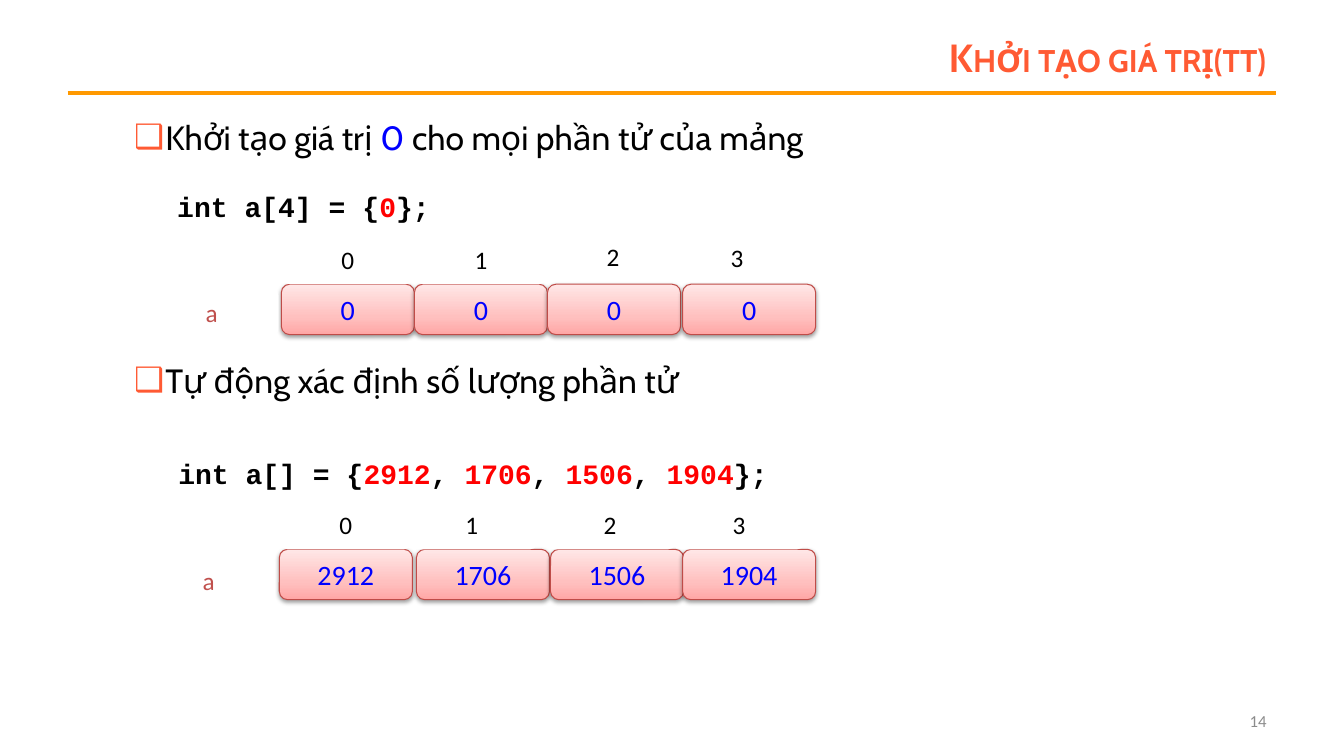
from pptx import Presentation
from pptx.dml.color import RGBColor
from pptx.enum.shapes import MSO_CONNECTOR, MSO_SHAPE
from pptx.enum.text import MSO_ANCHOR, MSO_AUTO_SIZE, PP_ALIGN
from pptx.oxml import parse_xml
from pptx.oxml.ns import nsdecls, qn
from pptx.util import Inches, Pt

HUES = {
    "black": "000000", "white": "FFFFFF", "blue": "0000FF", "red": "FF0000",
    "title": "FF5A33", "rule": "FF9900", "name": "C0504D", "edge": "BF4C48",
    "page": "8C8C8C", "low": "FFA6A5", "mid": "FFC0BF", "high": "FFE7E7",
}
TITLE = {"name": "Cabin", "size": Pt(28), "bold": True}
POINT = {"name": "Cabin", "size": Pt(24)}
CODE = {"name": "Courier New", "size": Pt(20), "bold": True}
VALUE = {"name": "Calibri", "size": Pt(20)}
LABEL = {"name": "Calibri", "size": Pt(18)}
PAGE = {"name": "Calibri", "size": Pt(12)}
CELL_W, CELL_H = 1.32, 0.5


def color(key):
    return RGBColor.from_string(HUES[key])


def place(shape, left, top, width, height):
    box = {"left": left, "top": top, "width": width, "height": height}
    for side, value in box.items():
        setattr(shape, side, Inches(value))


def add_runs(par, parts, style, main="black", accent="red"):
    """Write the parts as runs, with every second one in the accent colour."""
    for i, part in enumerate(parts):
        run = par.add_run()
        run.text = part
        for key, value in style.items():
            setattr(run.font, key, value)
        run.font.color.rgb = color(accent if i % 2 else main)


def add_title(slide, text):
    title = slide.shapes.title
    place(title, 3, 0.3, 9.66, 0.53)
    frame = title.text_frame
    frame.auto_size = MSO_AUTO_SIZE.NONE
    frame.vertical_anchor = MSO_ANCHOR.MIDDLE
    par = frame.paragraphs[0]
    par.alignment = PP_ALIGN.RIGHT
    add_runs(par, [text], TITLE, "title")
    par.runs[0]._r.get_or_add_rPr().set("cap", "small")


def add_rule(slide):
    rule = slide.shapes.add_connector(
        MSO_CONNECTOR.STRAIGHT, Inches(0.67), Inches(0.92),
        Inches(12.66), Inches(0.92))
    rule.line.color.rgb = color("rule")
    rule.line.width = Pt(3)
    rule._element.spPr.append(parse_xml(f"<a:effectLst {nsdecls('a')}/>"))


def add_points(slide, points):
    """Fill the body with (space before, parts) bullet points."""
    body = slide.placeholders[1]
    place(body, 0.73, 1.11, 11.91, 5.81)
    frame = body.text_frame
    frame.auto_size = MSO_AUTO_SIZE.NONE
    for i, (gap, parts) in enumerate(points):
        par = frame.add_paragraph() if i else frame.paragraphs[0]
        par.level = 1
        props = par._p.get_or_add_pPr()
        props.set("marL", str(Inches(0.81)))
        props.set("indent", str(Inches(-0.31)))
        props.append(parse_xml(
            f'<a:buClr {nsdecls("a")}><a:srgbClr val="{HUES["title"]}"/></a:buClr>'))
        props.append(parse_xml(f'<a:buChar {nsdecls("a")} char="❑"/>'))
        par.space_before = Pt(gap)
        add_runs(par, parts, POINT, accent="blue")


def add_text(slide, box, parts, style, main="black", align=PP_ALIGN.LEFT):
    shape = slide.shapes.add_textbox(*map(Inches, box))
    frame = shape.text_frame
    frame.word_wrap = True
    par = frame.paragraphs[0]
    par.alignment = align
    add_runs(par, parts, style, main)
    return frame


def add_code(slide, left, top, parts):
    frame = add_text(slide, (left, top, 8, 0.44), parts, CODE)
    frame.auto_size = MSO_AUTO_SIZE.SHAPE_TO_FIT_TEXT


def add_box(slide, left, top, text, style, hue):
    box = slide.shapes.add_shape(
        MSO_SHAPE.ROUNDED_RECTANGLE, Inches(left), Inches(top),
        Inches(CELL_W), Inches(CELL_H))
    box.shadow.inherit = False
    frame = box.text_frame
    frame.word_wrap = False
    frame.vertical_anchor = MSO_ANCHOR.MIDDLE
    par = frame.paragraphs[0]
    par.alignment = PP_ALIGN.CENTER
    add_runs(par, [text], style, hue)
    return box


def add_label(slide, left, top, text, hue="black"):
    box = add_box(slide, left, top, text, LABEL, hue)
    box.fill.solid()
    box.fill.fore_color.rgb = color("white")
    box.line.fill.background()


def add_cell(slide, left, top, text):
    """Draw one array element, with a gradient and a soft shadow."""
    box = add_box(slide, left, top, text, VALUE, "blue")
    box.line.color.rgb = color("edge")
    box.line.width = Pt(0.75)
    stops = "".join(
        f'<a:gs pos="{pos}000"><a:srgbClr val="{HUES[key]}"/></a:gs>'
        for pos, key in ((0, "low"), (35, "mid"), (100, "high")))
    props = box._element.spPr
    props.find(qn("a:prstGeom")).addnext(parse_xml(
        f'<a:gradFill {nsdecls("a")}><a:gsLst>{stops}</a:gsLst>'
        '<a:lin ang="16200000" scaled="0"/></a:gradFill>'))
    props.find(qn("a:effectLst")).append(parse_xml(
        f'<a:outerShdw {nsdecls("a")} blurRad="40000" dist="20000" '
        'dir="5400000" rotWithShape="0"><a:srgbClr val="000000">'
        '<a:alpha val="38000"/></a:srgbClr></a:outerShdw>'))


def add_array(slide, top, cells, marks, name):
    """Draw cells (left, value), index marks (left, top) and the array name."""
    for left, value in cells:
        add_cell(slide, left, top, value)
    for i, (left, height) in enumerate(marks):
        add_label(slide, left, height, str(i))
    add_label(slide, *name, "a", "name")


def main():
    deck = Presentation()
    deck.slide_width, deck.slide_height = Inches(13.33), Inches(7.5)
    slide = deck.slides.add_slide(deck.slide_layouts[1])
    add_rule(slide)
    add_title(slide, "Khởi tạo giá trị(tt)")
    add_text(slide, (9.55, 6.95, 3.11, 0.4), ["14"], PAGE, "page",
             PP_ALIGN.RIGHT).vertical_anchor = MSO_ANCHOR.MIDDLE
    add_points(slide, [
        (0, ["Khởi tạo giá trị ", "0 ", "cho mọi phần tử của mảng"]),
        (145, ["Tự động xác định số lượng phần tử"]),
    ])
    add_array(slide, 2.82,
              [(2.79, "0"), (4.11, "0"), (5.43, "0"), (6.77, "0")],
              [(2.79, 2.32), (4.11, 2.32), (5.42, 2.29), (6.65, 2.3)],
              (1.44, 2.85))
    years = ["2912", "1706", "1506", "1904"]
    add_array(slide, 5.45, zip((2.77, 4.13, 5.46, 6.77), years),
              [(left, 4.95) for left in (2.77, 4.02, 5.39, 6.67)],
              (1.41, 5.51))
    add_code(slide, 1.66, 1.83, ["int a[4] = {", "0", "};"])
    parts = ["int a[] = {"]
    for year in years:
        parts += [year, ", "]
    parts[-1] = "};"
    add_code(slide, 1.67, 4.48, parts)
    deck.save("out.pptx")


if __name__ == "__main__":
    main()
